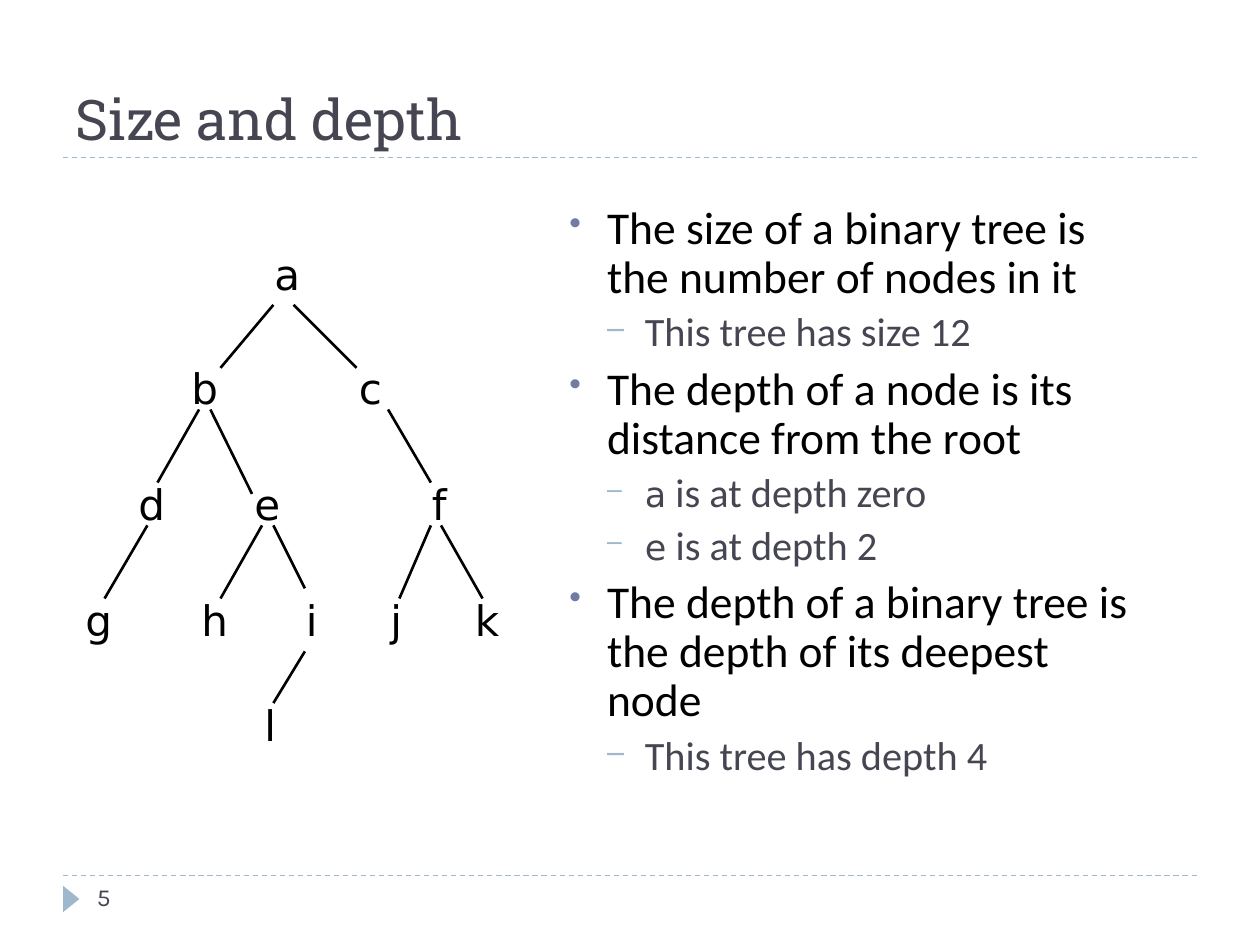
from lxml.etree import SubElement
from pptx import Presentation
from pptx.dml.color import RGBColor
from pptx.enum.dml import MSO_LINE
from pptx.enum.shapes import MSO_CONNECTOR, MSO_SHAPE
from pptx.enum.text import MSO_ANCHOR, MSO_AUTO_SIZE
from pptx.oxml.ns import qn
from pptx.util import Inches, Pt

TITLE = "Size and depth"
PAGE_NUMBER = "5"
INK, BLACK, ACCENT, BULLET = "464653", "000000", "9FB8CD", "727CA3"
LETTER_FONT, BODY_FONT = "DejaVu Sans", "Calibri"

# Level, leading node letter, text
POINTS = [
    (0, "", "The size of a binary tree is the number of nodes in it"),
    (1, "", "This tree has size 12"),
    (0, "", "The depth of a node is its distance from the root"),
    (1, "a", " is at depth zero"),
    (1, "e", " is at depth 2"),
    (0, "", "The depth of a binary tree is the depth of its deepest node"),
    (1, "", "This tree has depth 4"),
]
# Per level: bullet, bullet colour, size, text colour, space before
LEVELS = [("•", BULLET, 26, BLACK, 6), ("–", ACCENT, 23, INK, 5)]

# Tree rows: top, then the left of each node
TREE_ROWS = [
    (1.92, {"a": 2.08}),
    (2.83, {"b": 1.42, "c": 2.75}),
    (3.75, {"d": 1, "e": 1.92, "f": 3.33}),
    (4.67, {"g": 0.58, "h": 1.5, "i": 2.33, "j": 3, "k": 3.67}),
    (5.5, {"l": 2}),
]
NODE_W, NODE_H = 0.42, 0.5
# Parent and child, then the ends of the branch
BRANCHES = {
    "ab": (2.17, 2.42, 1.75, 2.92),
    "ac": (2.33, 2.42, 2.83, 2.92),
    "bd": (1.58, 3.25, 1.25, 3.83),
    "be": (1.67, 3.25, 2, 3.92),
    "cf": (3.08, 3.25, 3.42, 3.83),
    "dg": (1.17, 4.17, 0.83, 4.75),
    "eh": (2.08, 4.17, 1.75, 4.75),
    "ei": (2.17, 4.17, 2.42, 4.67),
    "il": (2.42, 5.17, 2.17, 5.58),
    "fj": (3.42, 4.17, 3.17, 4.75),
    "fk": (3.5, 4.17, 3.83, 4.75),
}


def rgb(color):
    return RGBColor.from_string(color)


def style(font, name, size, color):
    font.name, font.size = name, Pt(size)
    font.color.rgb = rgb(color)


def add_text(shapes, box, text, name, size, color):
    frame = shapes.add_textbox(*map(Inches, box)).text_frame
    frame.word_wrap = True
    frame.text = text
    for run in frame.paragraphs[0].runs:
        style(run.font, name, size, color)
    return frame


def add_line(shapes, ends, color, width):
    connector = shapes.add_connector(MSO_CONNECTOR.STRAIGHT, *map(Inches, ends))
    connector.line.color.rgb = rgb(color)
    connector.line.width = Pt(width)
    SubElement(connector._element.spPr, qn("a:effectLst"))
    return connector


def set_bullet(paragraph, level, char, color):
    props = paragraph._p.get_or_add_pPr()
    props.set("marL", str(Inches(0.3 * (level + 1))))
    props.set("indent", str(Inches(-0.3)))
    SubElement(SubElement(props, qn("a:buClr")), qn("a:srgbClr")).set("val", color)
    SubElement(props, qn("a:buSzPct")).set("val", "76000")
    SubElement(props, qn("a:buChar")).set("char", char)


prs = Presentation()
prs.slide_width, prs.slide_height = Inches(10), Inches(7.5)
shapes = prs.slides.add_slide(prs.slide_layouts[6]).shapes

# Rules and page marker
for y in (6.95, 1.25):
    add_line(shapes, (0.5, y, 9.5, y), ACCENT, 0.75).line.dash_style = MSO_LINE.DASH
marker = shapes.add_shape(MSO_SHAPE.ISOSCELES_TRIANGLE,
                          *map(Inches, (0.46, 7.07, 0.21, 0.13)))
marker.rotation = 90
marker.shadow.inherit = False
marker.fill.solid()
marker.fill.fore_color.rgb = rgb(ACCENT)
marker.line.fill.background()

# Title and page number
title = add_text(shapes, (0.5, 0.17, 9, 1.08), TITLE, "Roboto Slab", 32, INK)
title.vertical_anchor = MSO_ANCHOR.BOTTOM
add_text(shapes, (0.67, 6.95, 2.17, 0.4), PAGE_NUMBER, "Karla", 14, INK)

# Bulleted points
body = add_text(shapes, (4.42, 1.58, 4.83, 5.08), "", BODY_FONT, 26, BLACK)
for index, (level, letter, text) in enumerate(POINTS):
    char, bullet_color, size, color, space = LEVELS[level]
    point = body.add_paragraph() if index else body.paragraphs[0]
    point.level = level
    set_bullet(point, level, char, bullet_color)
    point.line_spacing = 0.9
    if index:
        point.space_before = Pt(space)
    for part, name, part_size in ((letter, LETTER_FONT, 20), (text, BODY_FONT, size)):
        if part:
            run = point.add_run()
            run.text = part
            style(run.font, name, part_size, color)

# Binary tree
tree = shapes.add_group_shape().shapes
for top, nodes in TREE_ROWS:
    for letter, left in nodes.items():
        node = add_text(tree, (left, top, NODE_W, NODE_H), letter,
                        LETTER_FONT, 24, BLACK)
        node.auto_size = MSO_AUTO_SIZE.SHAPE_TO_FIT_TEXT
for ends in BRANCHES.values():
    add_line(tree, ends, BLACK, 1.5)

prs.save("out.pptx")
